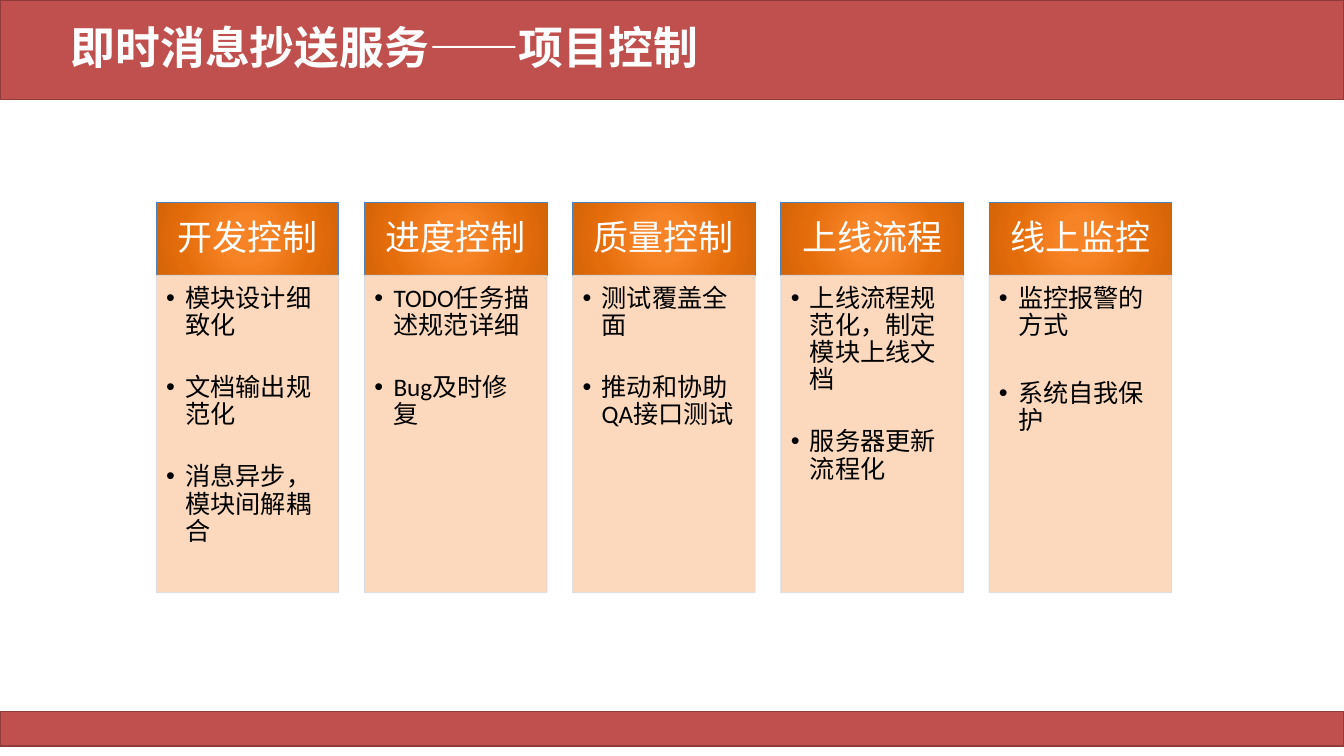
import pptx
import pptx.dml.color
import pptx.enum.shapes
import pptx.enum.text
import pptx.oxml
import pptx.oxml.ns
import pptx.util

RGBColor = pptx.dml.color.RGBColor
Pt = pptx.util.Pt
Inches = pptx.util.Inches
Align = pptx.enum.text.PP_ALIGN
Anchor = pptx.enum.text.MSO_ANCHOR

RED = RGBColor(0xC0, 0x50, 0x4D)
DARK_RED = RGBColor(0x8E, 0x3B, 0x39)
BRIGHT_ORANGE = RGBColor(0xF6, 0x83, 0x25)
ORANGE = RGBColor(0xE4, 0x6C, 0x0A)
DARK_ORANGE = RGBColor(0xD5, 0x65, 0x09)
PEACH = RGBColor(0xFC, 0xD5, 0xB5)
BLUE = RGBColor(0x4F, 0x81, 0xBD)
PALE_BLUE = RGBColor(0xD0, 0xD8, 0xE8)
WHITE = RGBColor(0xFF, 0xFF, 0xFF)
BLACK = RGBColor(0, 0, 0)

GLOW = [(0, BRIGHT_ORANGE), (23, BRIGHT_ORANGE), (69, ORANGE), (97, DARK_ORANGE)]

# Card grid, in percent of the slide's width and height
FIRST_LEFT, COLUMN_STEP, CARD_WIDTH = 11.63, 15.49, 13.58
HEAD_TOP, HEAD_HEIGHT, BODY_HEIGHT = 26.8, 9.6, 42

# Heading, space between items in points, items
CARDS = [
    ("开发控制", 25, ["模块设计细致化", "文档输出规范化", "消息异步，模块间解耦合"]),
    ("进度控制", 25, ["TODO任务描述规范详细", "Bug及时修复"]),
    ("质量控制", 25, ["测试覆盖全面", "推动和协助QA接口测试"]),
    ("上线流程", 25, ["上线流程规范化，制定模块上线文档", "服务器更新流程化"]),
    ("线上监控", 29, ["监控报警的方式", "系统自我保护"]),
]


def assign(target, values):
    """Set each attribute named in a dict of format values."""
    for name, value in values.items():
        setattr(target, name, value)


def xml(text):
    """Build one DrawingML element."""
    return pptx.oxml.parse_xml(text.replace(" ", f" {pptx.oxml.ns.nsdecls('a')} ", 1))


class SlidePainter:
    """Holds the text style and the current slide."""

    font_name = "Calibri"
    line_spacing = 0.9

    def __init__(self, deck):
        """Add a title-only slide."""
        self.deck = deck
        self.page = deck.slides.add_slide(deck.slide_layouts[5])

    def place(self, left, top, width, height):
        """Turn percentages of the slide into lengths."""
        across, down = self.deck.slide_width / 100, self.deck.slide_height / 100
        return [round(left * across), round(top * down),
                round(width * across), round(height * down)]

    def panel(self, area, fill, line, weight):
        """Draw a flat rectangle."""
        box = self.page.shapes.add_shape(
            pptx.enum.shapes.MSO_SHAPE.RECTANGLE, *self.place(*area))
        box.shadow.inherit = False
        box.fill.solid()
        box.fill.fore_color.rgb = fill
        box.line.color.rgb = line
        box.line.width = Pt(weight)
        return box

    def glow(self, box, stops):
        """Replace a solid fill by a gradient spreading from the centre."""
        marks = "".join(f'<a:gs pos="{share * 1000}"><a:srgbClr val="{color}"/></a:gs>'
                        for share, color in stops)
        gradient = xml(
            f'<a:gradFill rotWithShape="1"><a:gsLst>{marks}</a:gsLst><a:path path="circle">'
            '<a:fillToRect l="50000" t="50000" r="50000" b="50000"/></a:path></a:gradFill>')
        solid = box._element.spPr.find(pptx.oxml.ns.qn("a:solidFill"))
        solid.getparent().replace(solid, gradient)

    def fade(self, box, percent):
        """Make the fill and the line partly transparent."""
        for color in box._element.spPr.iter(pptx.oxml.ns.qn("a:srgbClr")):
            color.append(xml(f'<a:alpha val="{percent * 1000}"/>'))

    def set_text(self, box, lines, color, frame, paragraph, font):
        """Fill a shape with formatted paragraphs."""
        text = box.text_frame
        assign(text, {"word_wrap": True, "auto_size": pptx.enum.text.MSO_AUTO_SIZE.NONE, **frame})
        text.text = "\n".join(lines)
        for para in text.paragraphs:
            assign(para, {"line_spacing": self.line_spacing, "space_before": Pt(0), **paragraph})
            for span in para.runs:
                assign(span.font, {"name": self.font_name, **font})
                span.font.color.rgb = color

    def title(self, area, words):
        """Move the title placeholder to the front and format it."""
        box = self.page.shapes.title
        self.page.shapes._spTree.append(box._element)
        assign(box, dict(zip(("left", "top", "width", "height"), self.place(*area))))
        self.set_text(box, [words], WHITE, {"vertical_anchor": Anchor.MIDDLE},
                      {"alignment": Align.LEFT}, {"size": Pt(32), "bold": True})

    def heading(self, area, words):
        """Draw the orange top of a card."""
        box = self.panel(area, ORANGE, BLUE, 0.5)
        self.glow(box, GLOW)
        self.set_text(box, [words], WHITE, {"vertical_anchor": Anchor.MIDDLE},
                      {"alignment": Align.CENTER}, {"size": Pt(25)})

    def bullets(self, area, items, gap):
        """Draw the lower part of a card with its bulleted items."""
        box = self.panel(area, PEACH, PALE_BLUE, 0.5)
        self.fade(box, 90)
        frame = {"vertical_anchor": Anchor.TOP, "margin_left": Inches(0.1),
                 "margin_top": Inches(0.1), "margin_right": Inches(0.14),
                 "margin_bottom": Inches(0.16)}
        self.set_text(box, items, BLACK, frame, {"alignment": Align.LEFT}, {"size": Pt(18)})
        for index, para in enumerate(box.text_frame.paragraphs):
            para.space_before = Pt(gap if index else 0)
            properties = para._p.get_or_add_pPr()
            properties.set("marL", str(Inches(0.19)))
            properties.set("indent", str(-Inches(0.19)))
            properties.append(xml('<a:buFont typeface="Arial"/>'))
            properties.append(xml('<a:buChar char="•"/>'))


def main():
    """Build and save the slide."""
    deck = pptx.Presentation()
    assign(deck, {"slide_width": Inches(13.33), "slide_height": Inches(7.5)})
    painter = SlidePainter(deck)
    for top, height in ((0, 13.2), (94.13, 4.53)):
        painter.panel((0, top, 100, height), RED, DARK_RED, 1)
    painter.title((4.5, 2.67, 86.25, 7.87), "即时消息抄送服务——项目控制")
    for column, (heading, gap, items) in enumerate(CARDS):
        left = FIRST_LEFT + column * COLUMN_STEP
        painter.heading((left, HEAD_TOP, CARD_WIDTH, HEAD_HEIGHT), heading)
        painter.bullets((left, HEAD_TOP + HEAD_HEIGHT, CARD_WIDTH, BODY_HEIGHT), items, gap)
    deck.save("out.pptx")


main()
